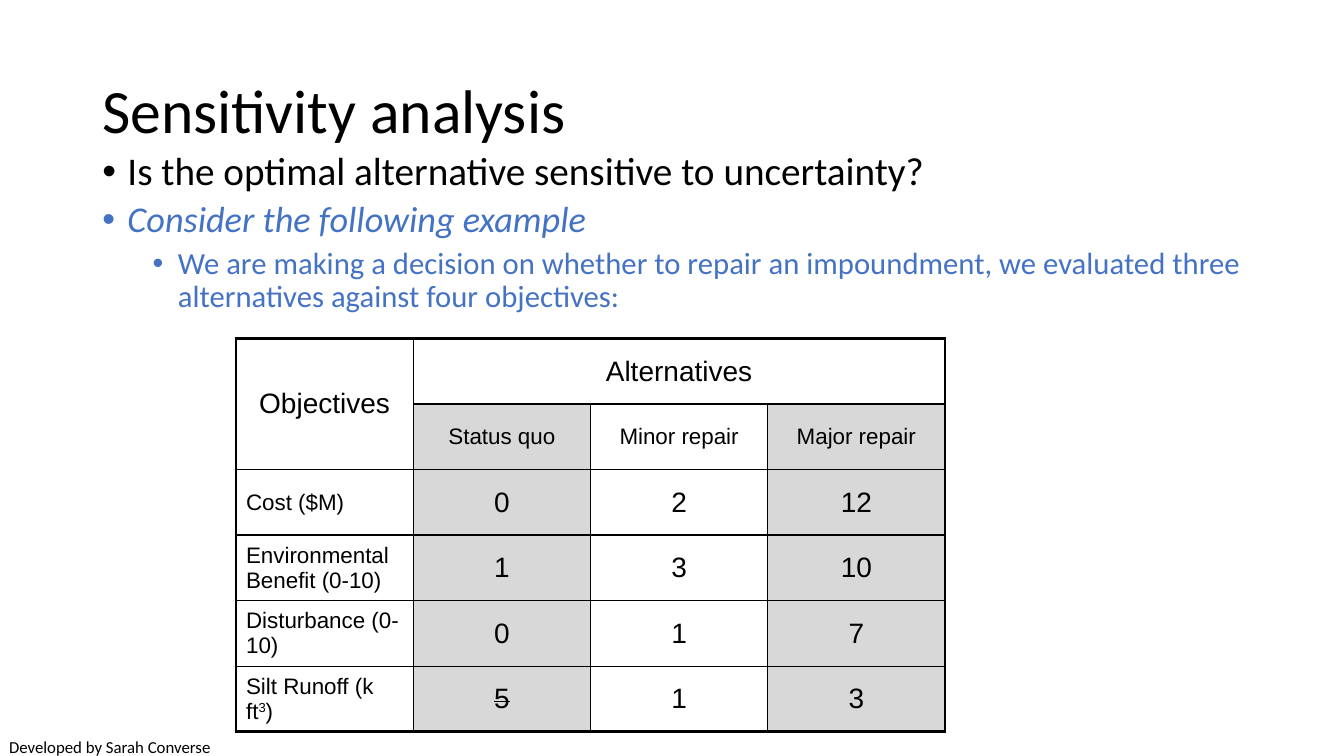
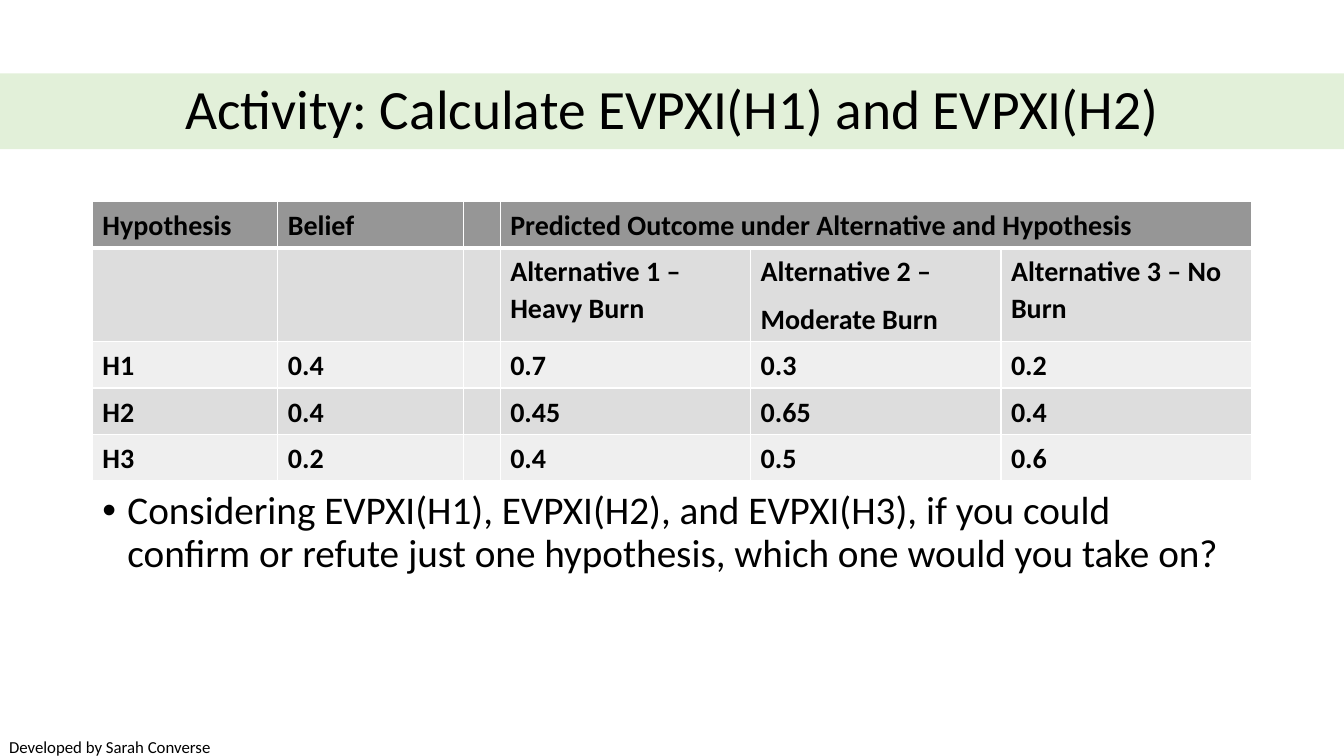
from lxml import etree
from pptx import Presentation, util as u
from pptx.dml.color import RGBColor
from pptx.enum import shapes, text as t
from pptx.oxml import ns

# The slide is a grid of 160 columns by 90 rows.
UNIT = u.Inches(1) / 12
COLUMNS, ROWS = 160, 90
MARGIN = 11
CONTENT = COLUMNS - 2 * MARGIN

COLORS = {
    "ink": "000000",
    "accent": "4472C4",
    "band": "E2F0D9",
    "white": "FFFFFF",
    "shade": "D8D8D8",
    "header": "969696",
    "dark row": "DDDDDD",
    "light row": "EFEFEF",
}
PLAIN_TABLE = "{2D5ABB26-0587-4C30-8999-92F81FD0307C}"
CENTER = t.PP_ALIGN.CENTER
MIDDLE = t.MSO_ANCHOR.MIDDLE


def grid(*lengths):
    return [u.Emu(round(length * UNIT)) for length in lengths]


def color(name):
    return RGBColor.from_string(COLORS[name])


def add_bullet(para, level):
    props = para._p.get_or_add_pPr()
    props.set("marL", str(u.Inches(0.25 + 0.5 * level)))
    props.set("indent", str(-u.Inches(0.25)))
    etree.SubElement(props, ns.qn("a:buFont")).set("typeface", "Arial")
    etree.SubElement(props, ns.qn("a:buChar")).set("char", "•")


def add_text(frame, text, size=20, font="Calibri", ink="ink", bold=False,
             italic=False, strike=False, align=None, line=None, before=None,
             after=None, bullet=None):
    """Add a paragraph; text is a string or a list of (string, baseline) pairs."""
    para = frame.paragraphs[0]
    if para.runs:
        para = frame.add_paragraph()
    if bullet is not None:
        add_bullet(para, bullet)
    para.alignment = align
    para.line_spacing = line
    para.space_before = None if before is None else u.Pt(before)
    para.space_after = None if after is None else u.Pt(after)
    for words, baseline in [(text, 0)] if isinstance(text, str) else text:
        span = para.add_run()
        span.text = words
        span.font.size = u.Pt(size)
        span.font.name = font
        span.font.bold = bold
        span.font.italic = italic
        span.font.color.rgb = color(ink)
        props = span._r.get_or_add_rPr()
        if strike:
            props.set("strike", "sngStrike")
        if baseline:
            props.set("baseline", str(baseline * 1000))


def add_box(page, left, top, width, height, anchor=t.MSO_ANCHOR.TOP):
    box = page.shapes.add_textbox(*grid(left, top, width, height))
    box.text_frame.word_wrap = True
    box.text_frame.vertical_anchor = anchor
    return box.text_frame


def add_title_band(page, text):
    band = page.shapes.add_shape(shapes.MSO_SHAPE.RECTANGLE,
                                 *grid(0, 8.75, COLUMNS, 9))
    band.shadow.inherit = False
    band.fill.solid()
    band.fill.fore_color.rgb = color("band")
    band.line.fill.background()
    band.text_frame.word_wrap = True
    band.text_frame.vertical_anchor = MIDDLE
    add_text(band.text_frame, text, size=39.6, align=CENTER, line=0.9)


def add_footer(page):
    add_text(add_box(page, -0.1, 87.1, 30.5, 3.6),
             "Developed by Sarah Converse", size=12)


def add_borders(cell, ink, widths):
    props = cell._tc.get_or_add_tcPr()
    for side, width in zip("LRTB", widths):
        border = etree.SubElement(props, ns.qn(f"a:ln{side}"))
        border.set("w", str(u.Pt(width)))
        fill = etree.SubElement(border, ns.qn("a:solidFill"))
        etree.SubElement(fill, ns.qn("a:srgbClr")).set("val", COLORS[ink])


def add_table(page, left, top, columns, rows, merges, ink,
              row_lines, column_lines):
    """Add a ruled table; lines are 1 pt except those listed by index."""
    frame = page.shapes.add_table(len(rows), len(columns),
                                  *grid(left, top, sum(columns), sum(rows)))
    table = frame.table
    table.first_row = table.horz_banding = False
    table._tbl.tblPr.find(ns.qn("a:tableStyleId")).text = PLAIN_TABLE
    for column, width in zip(table.columns, grid(*columns)):
        column.width = width
    for row, height in zip(table.rows, grid(*rows)):
        row.height = height
    for first, last in merges:
        table.cell(*first).merge(table.cell(*last))
    for r in range(len(rows)):
        for c in range(len(columns)):
            cell = table.cell(r, c)
            if cell.is_spanned:
                continue
            right = c + (cell.span_width if cell.is_merge_origin else 1)
            bottom = r + (cell.span_height if cell.is_merge_origin else 1)
            add_borders(cell, ink, [column_lines.get(c, 1),
                                    column_lines.get(right, 1),
                                    row_lines.get(r, 1),
                                    row_lines.get(bottom, 1)])
    return table


def fill_cell(cell, fill, paragraphs, **style):
    cell.fill.solid()
    cell.fill.fore_color.rgb = color(fill)
    for text in paragraphs:
        add_text(cell.text_frame, text, **style)


def add_objectives_table(page):
    content = [
        ["Objectives", "Alternatives", None, None],
        [None, "Status quo", "Minor repair", "Major repair"],
        ["Cost ($M)", "0", "2", "12"],
        ["Environmental Benefit (0-10)", "1", "3", "10"],
        ["Disturbance (0-10)", "0", "1", "7"],
        [[("Silt Runoff (k ft", 0), ("3", 30), (")", 0)], "5", "1", "3"],
    ]
    table = add_table(page, 28.1, 40.3, [21.1] * 4, [7.8] * 6,
                      merges=[((0, 0), (1, 0)), ((0, 1), (0, 3))], ink="ink",
                      row_lines={0: 2.25, 6: 2.25},
                      column_lines={0: 2.25, 4: 2.25})
    for r, row in enumerate(content):
        for c, text in enumerate(row):
            if text is None:
                continue
            cell = table.cell(r, c)
            cell.vertical_anchor = MIDDLE
            is_label = r == 1 or (r > 1 and c == 0)
            fill_cell(cell, "shade" if r and c % 2 else "white", [text],
                      font="Arial", size=16 if is_label else 20,
                      align=None if r > 1 and c == 0 else CENTER,
                      strike=(r, c) == (5, 1))


def add_hypothesis_table(page):
    content = [
        ["Hypothesis", "Belief", None,
         "Predicted Outcome under Alternative and Hypothesis", None, None],
        [None, None, None, "Alternative 1 – Heavy Burn",
         "Alternative 2 –\nModerate Burn", "Alternative 3 – No Burn"],
        ["H1", "0.4", None, "0.7", "0.3", "0.2"],
        ["H2", "0.4", None, "0.45", "0.65", "0.4"],
        ["H3", "0.2", None, "0.4", "0.5", "0.6"],
    ]
    fills = ["header", "dark row", "light row", "dark row", "light row"]
    table = add_table(page, MARGIN, 24, [22.08] * 2 + [4.4] + [29.81] * 3,
                      [5.5, 11.2] + [5.5] * 3, merges=[((0, 3), (0, 5))],
                      ink="white", row_lines={1: 3}, column_lines={})
    for r, (row, fill) in enumerate(zip(content, fills)):
        for c, text in enumerate(row):
            cell = table.cell(r, c)
            if not cell.is_spanned:
                fill_cell(cell, fill, text.split("\n") if text else [],
                          bold=True, line=1.07, after=8)


def build_sensitivity(page):
    add_text(add_box(page, MARGIN, 4.8, CONTENT, 17.4, MIDDLE),
             "Sensitivity analysis", size=44, line=0.9)
    body = add_box(page, MARGIN, 17.5, CONTENT, 27.5)
    add_text(body, "Is the optimal alternative sensitive to uncertainty?",
             size=28, line=0.9, bullet=0)
    add_text(body, "Consider the following example", size=25.9, ink="accent",
             italic=True, line=0.9, before=5.2, bullet=0)
    add_text(body, "We are making a decision on whether to repair an "
             "impoundment, we evaluated three alternatives against four "
             "objectives:", size=21.9, ink="accent", line=0.9, before=5.2,
             bullet=1)
    add_footer(page)
    add_objectives_table(page)


def build_activity(page):
    add_title_band(page, "Activity: Calculate EVPXI(H1) and EVPXI(H2)")
    add_text(add_box(page, MARGIN, 57.85, CONTENT, 13),
             "Considering EVPXI(H1), EVPXI(H2), and EVPXI(H3), if you could "
             "confirm or refute just one hypothesis, which one would you "
             "take on?", size=28, line=0.9, bullet=0)
    add_hypothesis_table(page)
    add_footer(page)


def main():
    deck = Presentation()
    deck.slide_width, deck.slide_height = grid(COLUMNS, ROWS)
    for build in (build_sensitivity, build_activity):
        build(deck.slides.add_slide(deck.slide_layouts[6]))
    deck.save("out.pptx")


if __name__ == "__main__":
    main()
